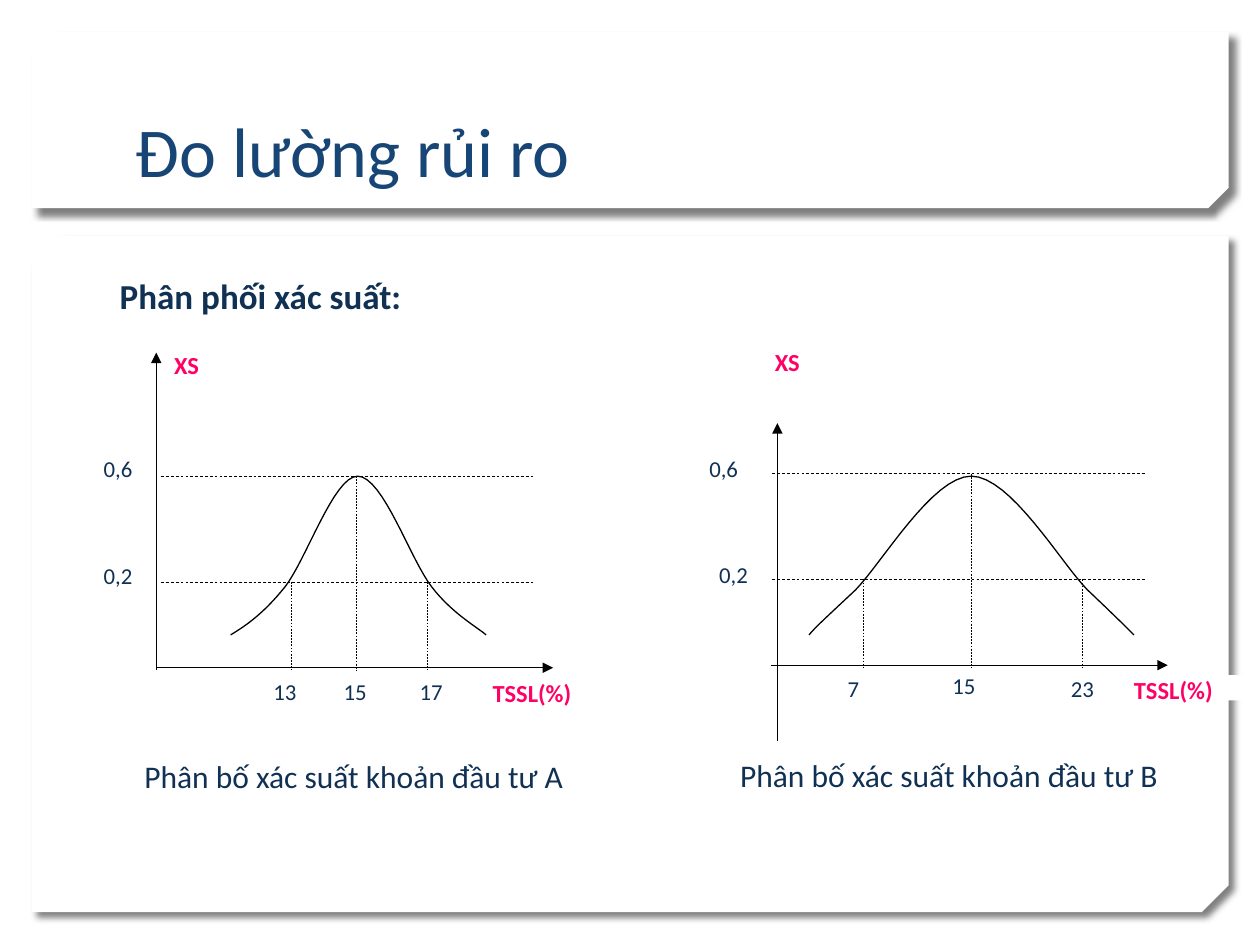
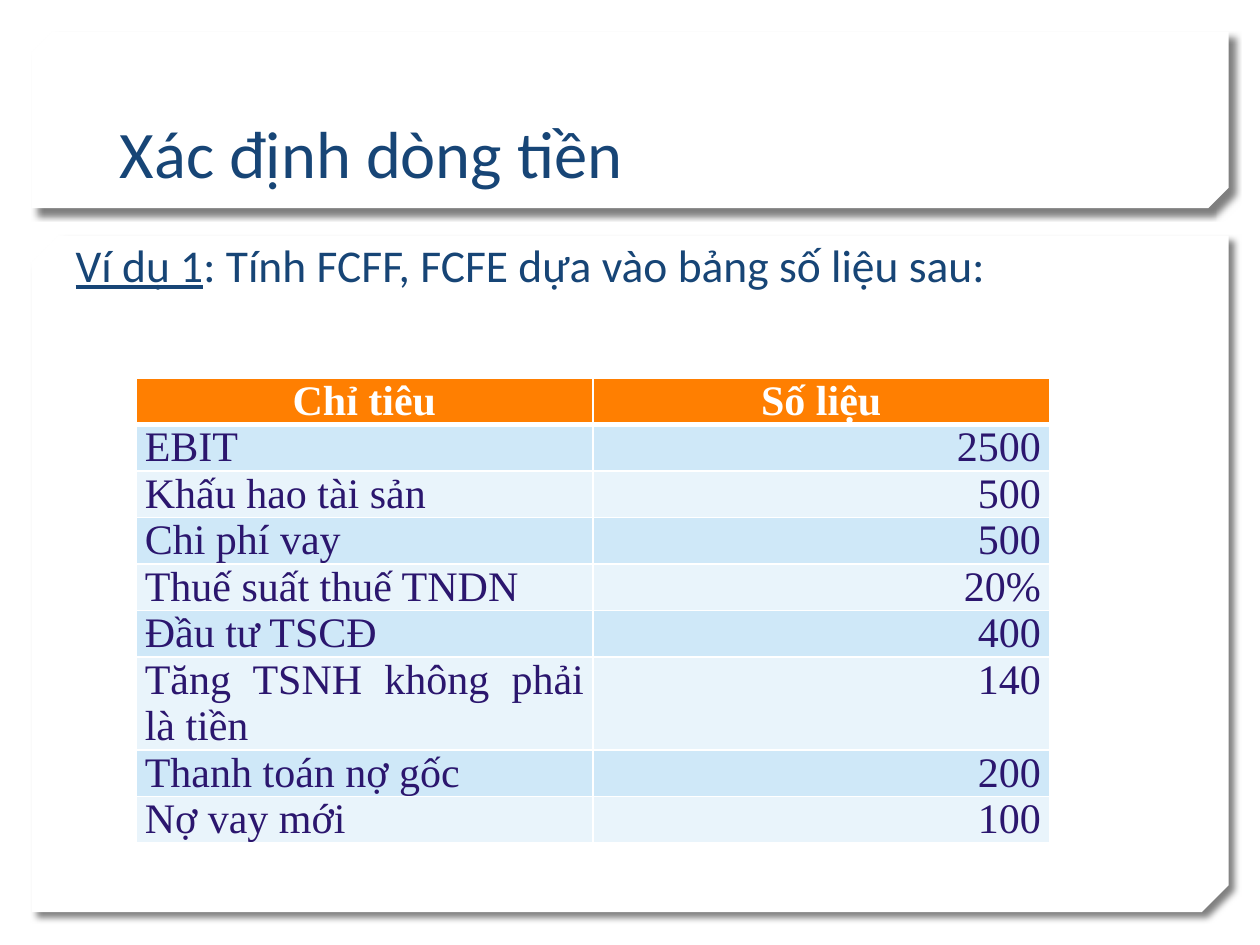
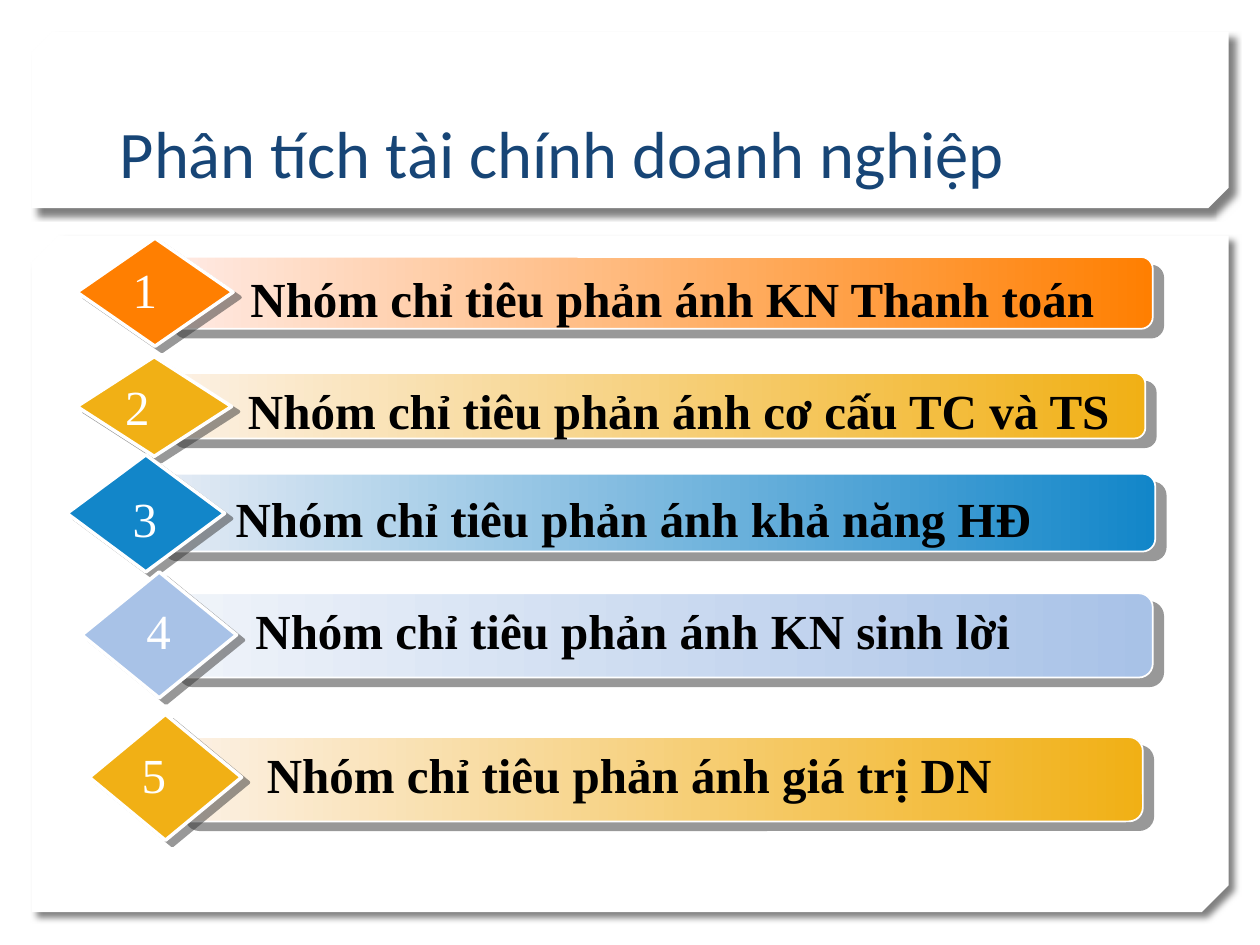
from dataclasses import dataclass
from typing import NamedTuple

from lxml import etree
from pptx import Presentation
from pptx import util as u
from pptx.dml.color import RGBColor
from pptx.enum import dml, shapes, text
from pptx.oxml import ns

SANS, SERIF = "Calibri", "Times New Roman"
WHITE, BLACK, NAVY, INK = "FFFFFF", "000000", "174576", "103154"
PINK, ORANGE, GOLD, PLUM = "FF0066", "FF7F01", "F1B015", "2B166E"
BLUE, MIST, SKY, ICE = "1286C9", "A8C2E7", "CFE8F8", "E9F4FB"
ALIGN, KIND = text.PP_ALIGN, shapes.MSO_SHAPE


class Box(NamedTuple):
    """Left, top, width and height in centimetres."""
    x: float
    y: float
    w: float
    h: float


class Shade(NamedTuple):
    color: str
    blur: float
    dist: float
    angle: int


class Label(NamedTuple):
    text: str
    x: float
    y: float
    w: float
    pad: float = 0
    size: int = 13
    color: str = INK
    bold: bool = False
    h: float = 0.71


@dataclass
class Plot:
    """A bell curve over two axes; y values count down the slide."""
    axis: float
    top: float
    start: float
    grid: float
    base: float
    drops: tuple[float, float, float]
    curve: list[tuple[float, float]]
    labels: list[Label]


@dataclass
class Item:
    text: str
    color: str
    pale: str
    bar: Box
    gem: Box
    num: tuple[float, float]
    words: Box


BANDS = [(Box(0.64, 4.75, 24.13, 13.64), 0.04), (Box(0.64, 0.64, 24.13, 3.56), 0.117)]
SOFT = Shade(BLACK, 4, 5, 45)
FAR, NEAR = Shade("333333", 0, 7.8, 40), Shade("333333", 0, 5, 37)


def rgb(code: str) -> RGBColor:
    return RGBColor.from_string(code)


def cm(*nums: float) -> list[u.Length]:
    return [u.Cm(n) for n in nums]


def sub(node, tag: str, **attrs):
    return etree.SubElement(node, ns.qn(tag), {k: str(v) for k, v in attrs.items()})


def style(para, size: float, color: str, name: str = SANS, bold: bool = False,
          align=ALIGN.LEFT) -> None:
    para.alignment = align
    font = para.font
    font.size, font.name, font.bold = u.Pt(size), name, bold
    font.color.rgb = rgb(color)


def shade(shape, look: Shade) -> None:
    fx = shape.element.spPr.find(ns.qn("a:effectLst"))
    drop = sub(fx, "a:outerShdw", blurRad=u.Pt(look.blur), dist=u.Pt(look.dist),
               dir=look.angle * 60000, algn="tl", rotWithShape=0)
    sub(sub(drop, "a:srgbClr", val=look.color), "a:alpha", val=50000)


def block(slide, kind, box: Box, fill: str, edge: float = 0, look: Shade | None = None):
    """Add a filled preset shape, with a white edge if edge is not 0."""
    shape = slide.shapes.add_shape(kind, *cm(*box))
    shape.fill.solid()
    shape.fill.fore_color.rgb = rgb(fill)
    if edge:
        shape.line.color.rgb = rgb(WHITE)
        shape.line.width = u.Pt(edge)
    else:
        shape.line.fill.background()
    shape.shadow.inherit = False
    if look:
        shade(shape, look)
    return shape


def bands(prs, slide) -> None:
    """Draw the two white panels and hand them to the slide master."""
    tree = prs.slide_master.element.cSld.spTree
    for i, (box, cut) in enumerate(BANDS):
        band = block(slide, KIND.SNIP_2_DIAG_RECTANGLE, box, WHITE, look=SOFT)
        band.adjustments[0], band.adjustments[1] = 0, cut
        node = band.element
        node.spPr.xfrm.set("flipV", "1")
        node.nvSpPr.cNvPr.set("id", str(90 + i))
        tree.insert(2 + i, node)


def place(shape, box: Box, anchor):
    """Move a placeholder and return its text frame."""
    shape.left, shape.top, shape.width, shape.height = cm(*box)
    frame = shape.text_frame
    frame.auto_size, frame.vertical_anchor = text.MSO_AUTO_SIZE.NONE, anchor
    return frame


def head(slide, words: str, size: int = 38, left: float = 2.16) -> None:
    frame = place(slide.shapes.title, Box(left, 0.81, 21.06, 3.18), text.MSO_ANCHOR.BOTTOM)
    frame.text = words
    style(frame.paragraphs[0], size, NAVY)


def body(slide, box: Box, parts: list[tuple[str, bool]], size: int, color: str,
         bold: bool = False) -> None:
    """Fill the body with one unbulleted line of (text, underlined) parts."""
    para = place(slide.placeholders[1], box, text.MSO_ANCHOR.TOP).paragraphs[0]
    for words, under in parts:
        run = para.add_run()
        run.text = words
        if under:
            run.font.underline = True
    props = para._p.get_or_add_pPr()
    props.set("marL", "0")
    props.set("indent", "0")
    para.space_before = u.Pt(0)
    sub(props, "a:buNone")
    style(para, size, color, bold=bold)


def line(slide, x1: float, y1: float, x2: float, y2: float, width: float,
         arrow: str = "") -> None:
    """Add an axis when arrow names an end, else a dashed guide."""
    link = slide.shapes.add_connector(shapes.MSO_CONNECTOR.STRAIGHT, *cm(x1, y1, x2, y2))
    link.line.color.rgb = rgb(BLACK)
    link.line.width = u.Pt(width)
    props = link.element.spPr
    if arrow:
        sub(props.find(ns.qn("a:ln")), arrow, type="triangle")
    else:
        link.line.dash_style = dml.MSO_LINE.DASH
    sub(props, "a:effectLst")


def trace(knots: list[tuple[float, float]], steps: int = 16) -> list[tuple[int, int]]:
    """Sample a chain of cubic Bezier curves."""
    dots = [knots[0]]
    for i in range(0, len(knots) - 1, 3):
        a, b, c, d = knots[i:i + 4]
        for n in range(1, steps + 1):
            t = n / steps
            s = 1 - t
            dots.append(tuple(s**3 * p + 3 * s * s * t * q + 3 * s * t * t * r + t**3 * v
                              for p, q, r, v in zip(a, b, c, d)))
    return [tuple(cm(*dot)) for dot in dots]


def label(slide, tag: Label) -> None:
    frame = block(slide, KIND.RECTANGLE, Box(tag.x, tag.y, tag.w, tag.h), WHITE).text_frame
    frame.margin_left = u.Cm(tag.pad)
    frame.margin_top = frame.margin_right = frame.margin_bottom = 0
    frame.vertical_anchor = text.MSO_ANCHOR.TOP
    frame.word_wrap = True
    frame.text = tag.text
    style(frame.paragraphs[0], tag.size, tag.color, bold=tag.bold)


def draw(slide, plot: Plot) -> None:
    high, mid, foot = plot.base - 3.86, plot.base - 1.73, plot.base + 0.05
    line(slide, plot.axis, plot.top, plot.axis, plot.top + 6.4, 0.75, "a:headEnd")
    line(slide, plot.start, plot.base, plot.start + 8, plot.base, 0.75, "a:tailEnd")
    for y in (mid, high):
        line(slide, plot.grid, y, plot.grid + 7.52, y, 0.4)
    for x, y in zip(plot.drops, (mid, high, mid)):
        line(slide, x, y, x, foot, 0.25)
    dots = trace(plot.curve)
    pen = slide.shapes.build_freeform(*dots[0])
    pen.add_line_segments(dots[1:], close=False)
    bell = pen.convert_to_shape()
    bell.fill.background()
    bell.line.color.rgb = rgb(BLACK)
    bell.line.width = u.Pt(0.75)
    bell.shadow.inherit = False
    for tag in plot.labels:
        label(slide, tag)


def mark(words: str, x: float, y: float, w: float, h: float) -> Label:
    """Describe an axis name."""
    return Label(words, x, y, w, size=14, color=PINK, bold=True, h=h)


PLOTS = [
    Plot(3.15, 7.11, 3.15, 3.25, 13.46, (5.87, 7.19, 8.61),
         [(4.65, 12.8), (4.98, 12.6), (5.31, 12.37), (5.74, 11.84), (6.17, 11.3),
          (6.73, 9.6), (7.21, 9.6), (7.72, 9.6), (8.28, 11.3), (8.71, 11.84),
          (9.12, 12.37), (9.63, 12.65), (9.8, 12.8)],
         [mark("XS", 3.51, 7.06, 1.14, 0.71),
          mark("TSSL(%)", 9.93, 13.67, 2.54, 0.51),
          Label("0,6", 1.8, 9.17, 1.14, 0.29),
          Label("0,2", 1.8, 11.33, 1.14, 0.29),
          Label("13", 5.51, 13.67, 0.81),
          Label("15", 6.93, 13.67, 1.12),
          Label("17", 8.46, 13.67, 0.84),
          Label("Phân bố xác suất khoản đầu tư A", 2.77, 15.27, 8.92, 0.14, 18)]),
    Plot(15.67, 8.53, 15.54, 15.57, 13.41, (17.4, 19.57, 21.82),
         [(16.31, 12.8), (16.48, 12.6), (16.69, 12.42), (17.25, 11.89), (17.78, 11.35),
          (18.8, 9.6), (19.58, 9.6), (20.37, 9.6), (21.39, 11.35), (21.92, 11.89),
          (22.48, 12.42), (22.71, 12.65), (22.86, 12.8)],
         [mark("XS", 15.62, 6.99, 1.14, 0.71),
          mark("TSSL(%)", 22.86, 13.61, 2.54, 0.51),
          Label("0,6", 14.1, 9.17, 1.14, 0.2),
          Label("0,2", 14.17, 11.3, 1.14, 0.33),
          Label("7", 16.89, 13.61, 0.84, 0.2),
          Label("15", 19.2, 13.54, 1.12),
          Label("23", 21.59, 13.61, 0.81),
          Label("Phân bố xác suất khoản đầu tư B", 14.78, 15.24, 8.92, 0.14, 18)]),
]

ROWS = [
    ("Chỉ tiêu", "Số liệu"),
    ("EBIT", "2500"),
    ("Khấu hao tài sản", "500"),
    ("Chi phí vay", "500"),
    ("Thuế suất thuế TNDN", "20%"),
    ("Đầu tư TSCĐ", "400"),
    ("Tăng TSNH không phải là tiền", "140"),
    ("Thanh toán nợ gốc", "200"),
    ("Nợ vay mới", "100"),
]
TALL = 6

ITEMS = [
    Item("Nhóm chỉ tiêu phản ánh KN Thanh toán", ORANGE, "FFEBE6",
         Box(3.3, 5.18, 19.94, 1.45), Box(1.55, 4.8, 3.15, 2.18),
         (2.41, 5.11), Box(4.8, 5.28, 18.24, 1.45)),
    Item("Nhóm chỉ tiêu phản ánh cơ cấu TC và TS", GOLD, "FCF1E6",
         Box(3.3, 7.52, 19.79, 1.32), Box(1.55, 7.19, 3.12, 2.01),
         (2.26, 7.47), Box(4.75, 7.54, 20.14, 1.45)),
    Item("Nhóm chỉ tiêu phản ánh khả năng HĐ", BLUE, "E6ECF5",
         Box(3.1, 9.55, 20.19, 1.57), Box(1.35, 9.17, 3.18, 2.36),
         (2.41, 9.73), Box(4.5, 9.73, 17.5, 1.45)),
    Item("Nhóm chỉ tiêu phản ánh KN sinh lời", MIST, "F0F4FA",
         Box(3.4, 11.96, 19.84, 1.7), Box(1.65, 11.53, 3.12, 2.54),
         (2.69, 11.99), Box(4.9, 11.99, 16.43, 1.45)),
    Item("Nhóm chỉ tiêu phản ánh giá trị DN", GOLD, "FCF1E6",
         Box(3.53, 14.86, 19.51, 1.7), Box(1.8, 14.4, 3.07, 2.54),
         (2.59, 14.88), Box(5.13, 14.88, 19.86, 1.45)),
]


def rule(cell, row: int) -> None:
    """Give a cell white borders, thick under the header."""
    props = cell._tc.get_or_add_tcPr()
    thick = {"T": row == 1, "B": row == 0}
    for i, side in enumerate("LRTB"):
        edge = etree.Element(ns.qn(f"a:ln{side}"), w=str(u.Pt(3 if thick.get(side) else 1)))
        sub(sub(edge, "a:solidFill"), "a:srgbClr", val=WHITE)
        props.insert(i, edge)


def grid(slide) -> None:
    size = Box(2.74, 7.62, 18.42, 9.24)
    table = slide.shapes.add_table(len(ROWS), 2, *cm(*size)).table
    for col in table.columns:
        col.width = u.Cm(size.w / 2)
    for r, row in enumerate(ROWS):
        table.rows[r].height = u.Cm(1.68 if r == TALL else 0.84)
        for c, words in enumerate(row):
            cell = table.cell(r, c)
            cell.margin_left = cell.margin_right = u.Cm(0.18)
            cell.margin_top = cell.margin_bottom = 0
            cell.fill.solid()
            cell.fill.fore_color.rgb = rgb((SKY if r % 2 else ICE) if r else ORANGE)
            rule(cell, r)
            cell.text = words
            side = (ALIGN.RIGHT if c else ALIGN.JUSTIFY) if r else ALIGN.CENTER
            style(cell.text_frame.paragraphs[0], 24, PLUM if r else WHITE, SERIF,
                  not r, side)


def note(slide, box: Box, words: str, color: str, bold: bool, align, wrap: bool) -> None:
    frame = slide.shapes.add_textbox(*cm(*box)).text_frame
    frame.word_wrap = wrap
    frame.text = words
    style(frame.paragraphs[0], 28, color, SERIF, bold, align)


def entry(slide, num: int, item: Item) -> None:
    bar = block(slide, KIND.ROUNDED_RECTANGLE, item.bar, item.color, 1, FAR)
    bar.fill.gradient()
    bar.fill.gradient_angle = 0
    for stop, color in zip(bar.fill.gradient_stops, (item.pale, item.color)):
        stop.color.rgb = rgb(color)
    block(slide, KIND.DIAMOND, item.gem, item.color, 2, NEAR)
    note(slide, item.words, item.text, BLACK, True, ALIGN.LEFT, True)
    note(slide, Box(*item.num, 1.02, 1.3), str(num), WHITE, False, ALIGN.CENTER, False)


def main() -> None:
    prs = Presentation()
    prs.slide_width, prs.slide_height = cm(25.4, 19.05)
    full, bare = prs.slide_layouts[1], prs.slide_layouts[5]

    risk = prs.slides.add_slide(full)
    bands(prs, risk)
    head(risk, "Đo lường rủi ro", 40, 2.48)
    body(risk, Box(2.16, 5.41, 21.06, 11.13), [("Phân phối xác suất:", False)], 20, INK, True)
    for plot in PLOTS:
        draw(risk, plot)

    cash = prs.slides.add_slide(full)
    head(cash, "Xác định dòng tiền")
    body(cash, Box(1.27, 4.65, 22.86, 13.44),
         [("Ví dụ 1", True), (": Tính FCFF, FCFE dựa vào bảng số liệu sau:", False)], 26, NAVY)
    grid(cash)

    firm = prs.slides.add_slide(bare)
    head(firm, "Phân tích tài chính doanh nghiệp")
    for num, item in enumerate(ITEMS, 1):
        entry(firm, num, item)

    prs.save("out.pptx")


if __name__ == "__main__":
    main()
